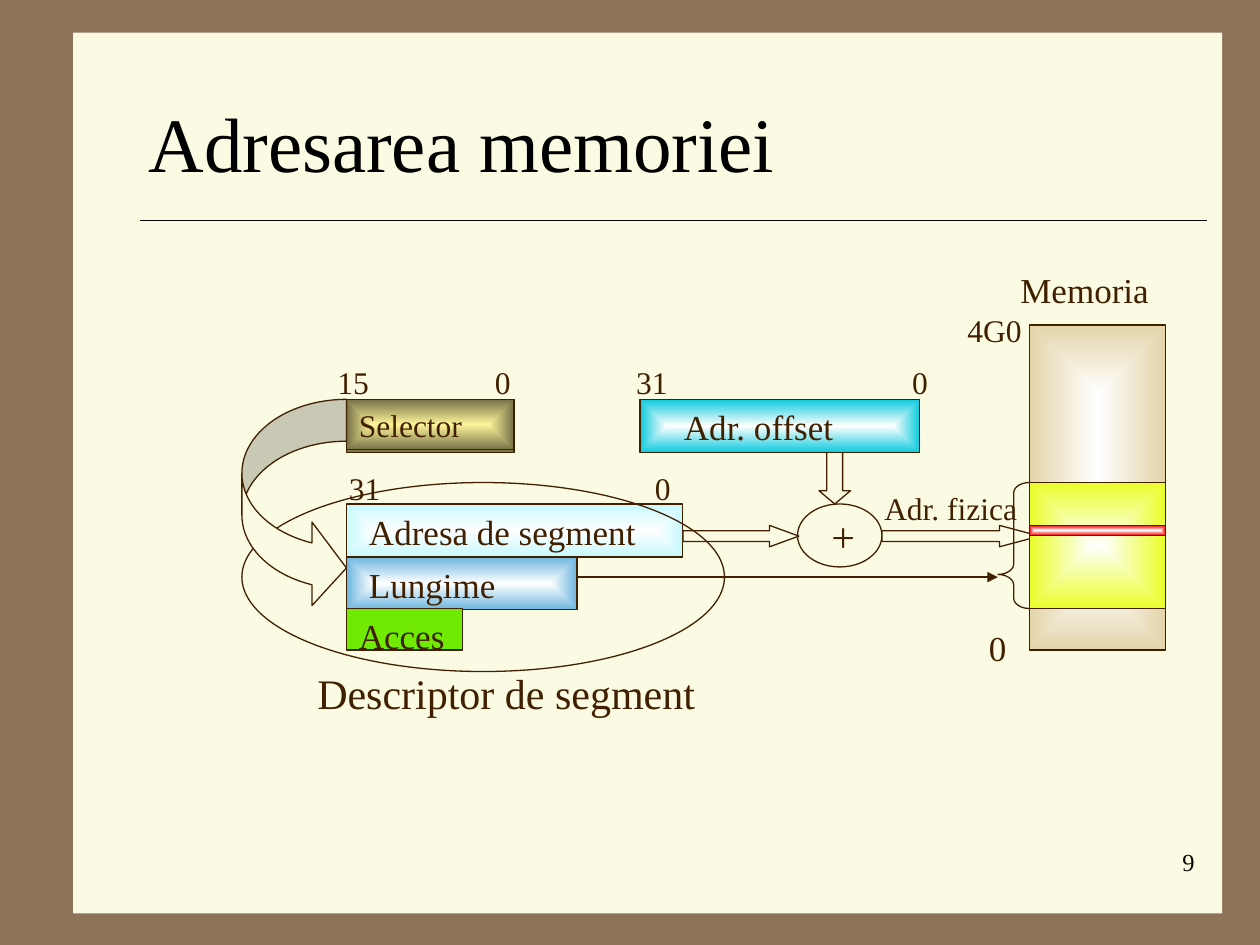
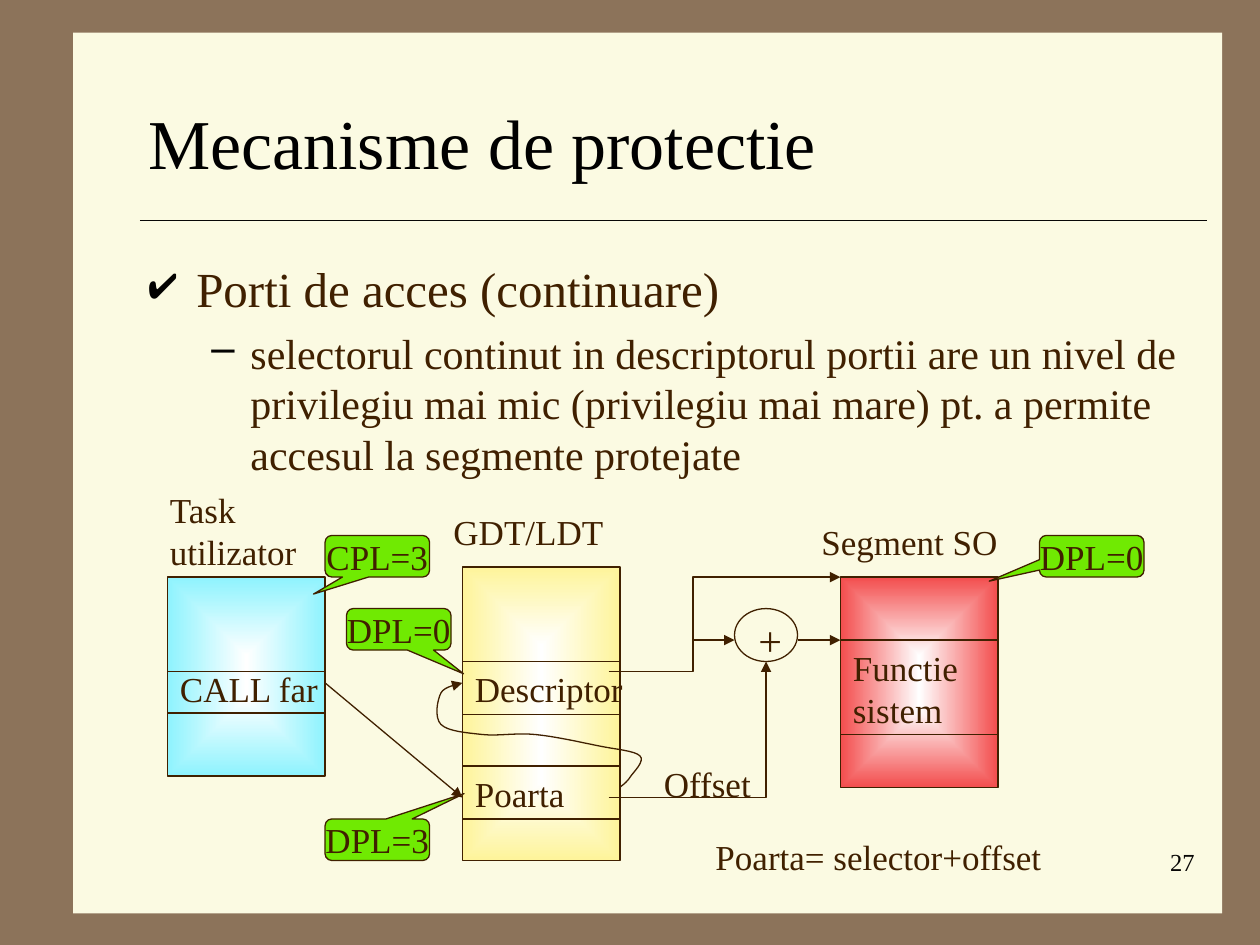
import pptx
import pptx.util
import pptx.dml.color
import pptx.enum.shapes
import pptx.enum.text
import pptx.oxml.ns
from lxml import etree

Inches = pptx.util.Inches
Pt = pptx.util.Pt
RGBColor = pptx.dml.color.RGBColor
SHAPE = pptx.enum.shapes.MSO_SHAPE
ALIGN = pptx.enum.text.PP_ALIGN
ANCHOR = pptx.enum.text.MSO_ANCHOR
qn = pptx.oxml.ns.qn

FONT = "Times New Roman"
FRAME = RGBColor(0x8C, 0x73, 0x5A)
PAPER = RGBColor(0xFB, 0xFA, 0xE2)
BLACK = RGBColor(0, 0, 0)
INK = RGBColor(0x07, 0x06, 0x05)
BROWN = RGBColor(0x40, 0x20, 0x00)
WHITE = RGBColor(0xFF, 0xFF, 0xFF)
GREEN = RGBColor(0x70, 0xEA, 0x02)
CREAM = RGBColor(0xFE, 0xF4, 0x9A)
SAND = RGBColor(0xE3, 0xD4, 0xA9)
OLIVE = RGBColor(0x75, 0x71, 0x47)
TURQUOISE = RGBColor(0x0E, 0xCA, 0xDE)
YELLOW = RGBColor(0xE9, 0xFD, 0x29)
RED = RGBColor(0xFF, 0x00, 0x00)
ICE = RGBColor(0xC6, 0xF9, 0xFE)
BLUE = RGBColor(0x6D, 0xB6, 0xDF)
CYAN = RGBColor(0x8E, 0xF3, 0xFE)
CORAL = RGBColor(0xF3, 0x4D, 0x4D)


def add_box(slide, kind, place, fill=None, center=None, adjustments=()):
    shape = slide.shapes.add_shape(kind, *map(Inches, place))
    shape.shadow.inherit = False
    shape.line.color.rgb = BROWN
    shape.line.width = Pt(0.75)
    for index, value in enumerate(adjustments):
        shape.adjustments[index] = value
    if fill is None:
        shape.fill.background()
    elif center is None:
        shape.fill.solid()
        shape.fill.fore_color.rgb = fill
    else:
        shape.fill.gradient()
        for stop, color in zip(shape.fill.gradient_stops, (center, fill)):
            stop.color.rgb = color
        gradient = shape._element.spPr.find(qn("a:gradFill"))
        gradient.remove(gradient.find(qn("a:lin")))
        rays = etree.SubElement(gradient, qn("a:path"), {"path": "rect"})
        etree.SubElement(rays, qn("a:fillToRect"), dict.fromkeys("ltrb", "50000"))
    return shape


def write(shape, text, size=20, color=BROWN, align=ALIGN.LEFT, anchor=ANCHOR.TOP):
    frame = shape.text_frame
    frame.word_wrap = True
    frame.vertical_anchor = anchor
    paragraph = frame.paragraphs[0]
    paragraph.alignment = align
    run = paragraph.add_run()
    run.text = text
    run.font.name = FONT
    run.font.size = Pt(size)
    run.font.color.rgb = color


presentation = pptx.Presentation()
presentation.slide_width = Inches(10)
presentation.slide_height = Inches(7.5)

slides = []
lines = []
for title, title_size, number in (
    ("Adresarea memoriei", 44, "9"),
    ("Mecanisme de protectie", 40, "27"),
):
    slide = presentation.slides.add_slide(presentation.slide_layouts[6])
    slide.background.fill.solid()
    slide.background.fill.fore_color.rgb = FRAME
    page = add_box(slide, SHAPE.RECTANGLE, (0.58, 0.26, 9.12, 6.99), PAPER)
    page.line.fill.background()
    title_box = slide.shapes.add_textbox(Inches(1.08), Inches(0.5), Inches(8.5), Inches(1.25))
    write(title_box, title, title_size, BLACK, anchor=ANCHOR.MIDDLE)
    number_box = slide.shapes.add_textbox(Inches(7.5), Inches(6.67), Inches(2.08), Inches(0.5))
    write(number_box, number, 14, INK, ALIGN.RIGHT)
    lines.append((slide, [(1.11, 1.75), (9.58, 1.75)], INK, 0.25, False))
    slides.append(slide)

memory_slide, protection_slide = slides

for kind, place, fill, center, adjustments in (
    (SHAPE.RECTANGLE, (8.17, 2.58, 1.08, 2.58), SAND, WHITE, ()),
    (SHAPE.OVAL, (6.33, 4, 0.67, 0.5), PAPER, None, ()),
    (SHAPE.DOWN_ARROW, (6.5, 3.58, 0.25, 0.42), PAPER, None, (0.5, 0.42)),
    (SHAPE.RIGHT_ARROW, (7, 4.17, 1.25, 0.17), PAPER, None, (0.5, 1.87)),
    (SHAPE.RECTANGLE, (2.75, 3.17, 1.33, 0.42), OLIVE, CREAM, ()),
    (SHAPE.RECTANGLE, (2.75, 3.17, 1.33, 0.4), OLIVE, CREAM, ()),
    (SHAPE.RECTANGLE, (5.08, 3.17, 2.22, 0.42), TURQUOISE, WHITE, ()),
    (SHAPE.RECTANGLE, (8.17, 3.83, 1.08, 1), YELLOW, WHITE, ()),
    (SHAPE.RECTANGLE, (8.17, 4.17, 1.08, 0.08), RED, WHITE, ()),
    (SHAPE.RECTANGLE, (2.75, 4, 2.67, 0.42), ICE, WHITE, ()),
    (SHAPE.RIGHT_ARROW, (5.42, 4.17, 0.92, 0.17), PAPER, None, (0.5, 1.37)),
    (SHAPE.RECTANGLE, (2.75, 4.42, 1.83, 0.42), BLUE, WHITE, ()),
    (SHAPE.RECTANGLE, (2.75, 4.83, 0.92, 0.33), GREEN, None, ()),
    (SHAPE.OVAL, (1.92, 3.83, 3.83, 1.5), None, None, ()),
    (SHAPE.CURVED_RIGHT_ARROW, (1.92, 3.17, 0.83, 1.67), PAPER, None, (0.4, 0.8, 0.33)),
    (SHAPE.LEFT_BRACE, (7.92, 3.83, 0.25, 1), None, None, (0.33, 0.73)),
):
    add_box(memory_slide, kind, place, fill, center, adjustments)
lines.append((memory_slide, [(4.58, 4.58), (7.92, 4.58)], BROWN, 0.75, True))

body = protection_slide.shapes.add_textbox(Inches(1.08), Inches(2), Inches(8.5), Inches(2))
write(body, "Porti de acces (continuare)", 28)
detail = body.text_frame.add_paragraph()
detail.space_before = Pt(6)
run = detail.add_run()
run.text = (
    "selectorul continut in descriptorul portii are un nivel de privilegiu mai mic "
    "(privilegiu mai mare) pt. a permite accesul la segmente protejate"
)
run.font.name = FONT
run.font.size = Pt(24)
run.font.color.rgb = BROWN
for paragraph, margin, hanging, bullet, bullet_size in zip(
    body.text_frame.paragraphs, (0.38, 0.81), (0.38, 0.31), "✔–", ("90000", "100000")
):
    properties = paragraph._p.get_or_add_pPr()
    properties.set("marL", str(Inches(margin)))
    properties.set("indent", str(-Inches(hanging)))
    bullet_color = etree.SubElement(properties, qn("a:buClr"))
    etree.SubElement(bullet_color, qn("a:srgbClr"), val="030201")
    etree.SubElement(properties, qn("a:buSzPct"), val=bullet_size)
    etree.SubElement(properties, qn("a:buChar"), char=bullet)

for kind, place, fill in (
    (SHAPE.RECTANGLE, (1.33, 4.58, 1.25, 1.58), CYAN),
    (SHAPE.RECTANGLE, (1.33, 5.33, 1.25, 0.33), None),
    (SHAPE.RECTANGLE, (3.67, 4.5, 1.25, 2.33), CREAM),
    (SHAPE.RECTANGLE, (3.67, 5.25, 1.25, 0.42), None),
    (SHAPE.RECTANGLE, (3.67, 6.08, 1.25, 0.42), None),
    (SHAPE.RECTANGLE, (6.67, 4.58, 1.25, 1.67), CORAL),
    (SHAPE.RECTANGLE, (6.67, 5.08, 1.25, 0.75), None),
    (SHAPE.OVAL, (5.83, 4.83, 0.5, 0.42), None),
):
    add_box(protection_slide, kind, place, fill, WHITE)

for text, left, top, tip in (
    ("DPL=3", 2.58, 6.5, (0.83, -1.11)),
    ("DPL=0", 2.75, 4.83, (0.62, 1.07)),
    ("DPL=0", 8.25, 4.25, (-0.98, 0.6)),
    ("CPL=3", 2.58, 4.25, (-0.61, 0.91)),
):
    callout = add_box(protection_slide, SHAPE.ROUNDED_RECTANGULAR_CALLOUT,
                      (left, top, 0.83, 0.33), GREEN, adjustments=tip)
    write(callout, text, align=ALIGN.CENTER, anchor=ANCHOR.MIDDLE)
    callout.text_frame.word_wrap = False

for slide, text, left, top, width, size in (
    (memory_slide, "+", 6.5, 4, 0.42, 24),
    (memory_slide, "Selector", 2.75, 3.17, 1.33, 18),
    (memory_slide, "Adr. offset", 5.33, 3.17, 2.33, 20),
    (memory_slide, "Adr. fizica", 6.92, 3.83, 1.33, 18),
    (memory_slide, "15", 2.58, 2.83, 0.5, 18),
    (memory_slide, "0", 3.83, 2.83, 0.5, 18),
    (memory_slide, "31", 4.95, 2.83, 0.5, 18),
    (memory_slide, "0", 7.14, 2.83, 0.5, 18),
    (memory_slide, "Memoria", 8, 2.08, 1.33, 20),
    (memory_slide, "4G0", 7.58, 2.42, 0.75, 18),
    (memory_slide, "Adresa de segment", 2.83, 4, 2.58, 20),
    (memory_slide, "31", 2.67, 3.67, 0.5, 18),
    (memory_slide, "0", 5.1, 3.67, 0.5, 18),
    (memory_slide, "Lungime", 2.83, 4.42, 1.92, 20),
    (memory_slide, "Acces", 2.75, 4.83, 1, 20),
    (memory_slide, "0", 7.75, 4.92, 0.42, 20),
    (memory_slide, "Descriptor de segment", 2.42, 5.25, 3.83, 24),
    (protection_slide, "Task utilizator", 1.25, 3.83, 1.42, 20),
    (protection_slide, "GDT/LDT", 3.5, 4, 1.58, 20),
    (protection_slide, "Descriptor", 3.67, 5.25, 1.42, 20),
    (protection_slide, "CALL far", 1.33, 5.25, 1.33, 20),
    (protection_slide, "Segment SO", 6.42, 4.08, 2.08, 20),
    (protection_slide, "Functie sistem", 6.67, 5.08, 1.25, 20),
    (protection_slide, "Poarta", 3.67, 6.08, 1.25, 20),
    (protection_slide, "Offset", 5.17, 6, 1.08, 20),
    (protection_slide, "+", 5.92, 4.83, 0.58, 24),
    (protection_slide, "Poarta= selector+offset", 5.58, 6.58, 3.25, 20),
):
    label = slide.shapes.add_textbox(Inches(left), Inches(top), Inches(width), Inches(0.44))
    write(label, text, size)

knots = [(4.92, 6.25), (5, 6.17), (5.08, 6), (4.75, 5.92), (4.25, 5.83),
         (3.83, 5.83), (3.5, 5.75), (3.5, 5.5), (3.67, 5.42)]
padded = [knots[0], *knots, knots[-1]]
gate_curve = [knots[0]]
for quad in zip(padded, padded[1:], padded[2:], padded[3:]):
    for step in range(1, 9):
        t = step / 8
        gate_curve.append(tuple(
            b + t / 2 * (c - a + t * (2 * a - 5 * b + 4 * c - d + t * (3 * b - a - 3 * c + d)))
            for a, b, c, d in zip(*quad)
        ))

for points in (
    [(2.58, 5.42), (3.67, 6.33)],
    gate_curve,
    [(6.33, 5.08), (6.67, 5.08)],
    [(4.83, 6.33), (6.08, 6.33), (6.08, 5.25)],
    [(4.83, 5.33), (5.5, 5.33), (5.5, 4.58), (6.67, 4.58)],
    [(5.5, 5.08), (5.83, 5.08)],
):
    lines.append((protection_slide, points, BROWN, 0.75, True))

for slide, points, color, width, has_arrow in lines:
    corners = [(Inches(x), Inches(y)) for x, y in points]
    if len(corners) == 2:
        line = slide.shapes.add_connector(
            pptx.enum.shapes.MSO_CONNECTOR.STRAIGHT, *corners[0], *corners[1])
    else:
        builder = slide.shapes.build_freeform(*corners[0])
        builder.add_line_segments(corners[1:], close=False)
        line = builder.convert_to_shape()
        line.fill.background()
    line.line.color.rgb = color
    line.line.width = Pt(width)
    properties = line._element.spPr
    etree.SubElement(properties, qn("a:effectLst"))
    if has_arrow:
        etree.SubElement(properties.find(qn("a:ln")), qn("a:tailEnd"), type="triangle")

presentation.save("out.pptx")
